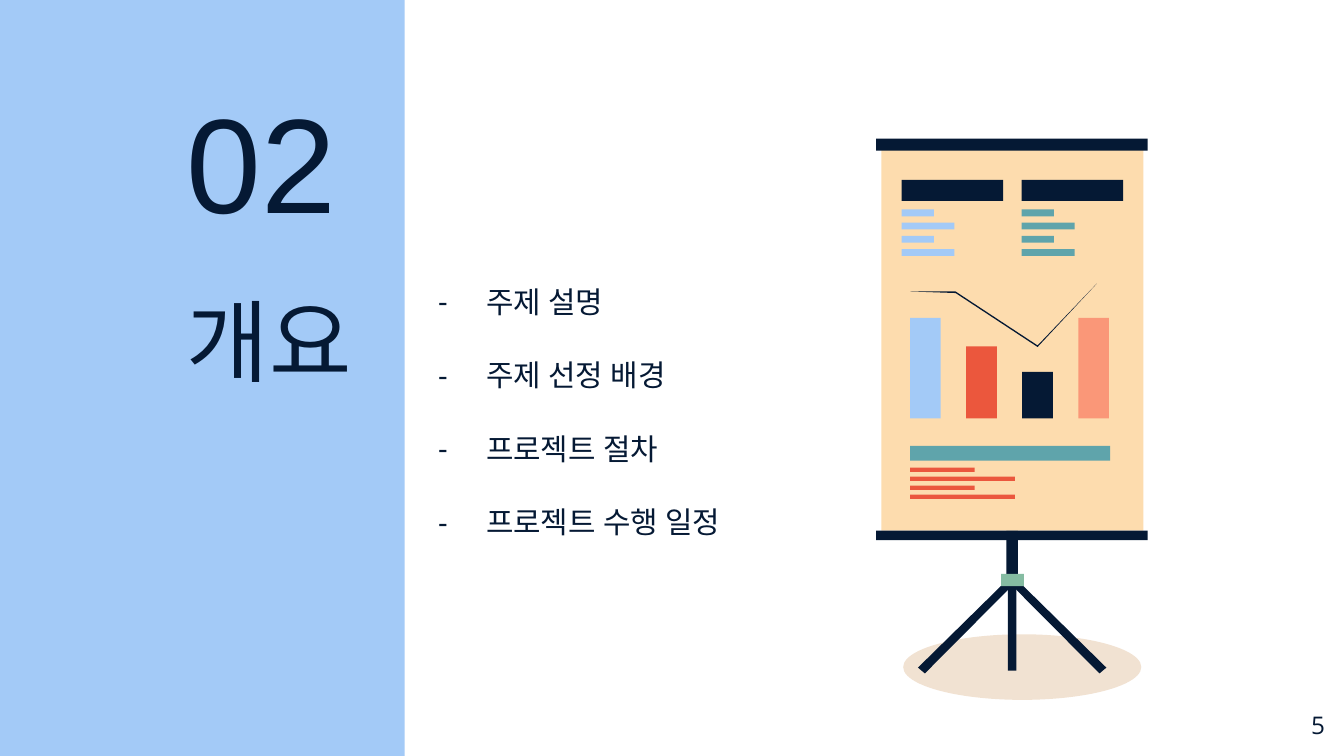
import lxml.etree
import pptx
import pptx.dml.color
import pptx.enum.shapes
import pptx.enum.text
import pptx.oxml.ns
import pptx.util

Cm = pptx.util.Cm
qn = pptx.oxml.ns.qn
ANCHOR = pptx.enum.text.MSO_ANCHOR
ALIGN = pptx.enum.text.PP_ALIGN
SHAPE = pptx.enum.shapes.MSO_SHAPE

COLORS = {
    "navy": "051934", "blue": "A3CAF7", "sand": "FDDCAE", "teal": "5FA4AB",
    "red": "EB573D", "salmon": "FA9778", "green": "85BCA2", "brown": "B45F06",
}

deck = pptx.Presentation()
deck.slide_width, deck.slide_height = Cm(25.4), Cm(14.29)
page = deck.slides.add_slide(deck.slide_layouts[6])


def add_text(text, left, top, width, height, size, font="Open Sans",
             anchor=ANCHOR.TOP, align=ALIGN.LEFT, spacing=None, dash=False):
    box = page.shapes.add_textbox(Cm(left), Cm(top), Cm(width), Cm(height))
    frame = box.text_frame
    frame.word_wrap = True
    frame.vertical_anchor = anchor
    frame.margin_left = frame.margin_right = Cm(0.25)
    frame.margin_top = frame.margin_bottom = Cm(0.25)
    para = frame.paragraphs[0]
    para.alignment = align
    if spacing:
        para.line_spacing = spacing
    span = para.add_run()
    span.text = text
    span.font.size = pptx.util.Pt(size)
    span.font.name = font
    span.font.color.rgb = pptx.dml.color.RGBColor.from_string(COLORS["navy"])
    # Korean glyphs take the East Asian typeface
    lxml.etree.SubElement(span.font._element, qn("a:ea"), typeface=font)
    if dash:
        properties = para._p.get_or_add_pPr()
        properties.set("marL", str(Cm(1.27)))
        properties.set("indent", str(Cm(-0.91)))
        bullet_color = lxml.etree.SubElement(properties, qn("a:buClr"))
        lxml.etree.SubElement(bullet_color, qn("a:srgbClr"), val=COLORS["navy"])
        lxml.etree.SubElement(properties, qn("a:buFont"), typeface=font)
        lxml.etree.SubElement(properties, qn("a:buChar"), char="-")


def add_filled(color, *place, preset=SHAPE.RECTANGLE, points=None):
    """Fill a preset at left, top, width, height, or an outline of points."""
    if points:
        corners = [(Cm(x), Cm(y)) for x, y in points]
        builder = page.shapes.build_freeform(*corners[0])
        builder.add_line_segments(corners[1:], close=True)
        shape = builder.convert_to_shape()
    else:
        shape = page.shapes.add_shape(preset, *map(Cm, place))
    shape.shadow.inherit = False
    shape.fill.solid()
    shape.fill.fore_color.rgb = pptx.dml.color.RGBColor.from_string(COLORS[color])
    shape.line.fill.background()
    return shape


# Side panel with section number and title
add_filled("blue", -0.05, -0.05, 7.7, 14.35)
add_text("개요", 3.28, 5.44, 10.77, 2.34, 48, font="Arial",
         anchor=ANCHOR.MIDDLE, spacing=0.8)
add_text("02", 3.28, 2.62, 6.99, 2.18, 72, font="Arial", anchor=ANCHOR.BOTTOM)

# Agenda
topics = ["주제 설명", "주제 선정 배경", "프로젝트 절차", "프로젝트 수행 일정"]
for index, topic in enumerate(topics):
    add_text(topic, 7.67, 5.11 + 1.39 * index, 8.84, 1.5, 16, dash=True)

# Floor shade under the easel
shade = add_filled("brown", 17.07, 11.99, 4.5, 1.24, preset=SHAPE.OVAL)
shade_color = shade._element.spPr.find(qn("a:solidFill"))[0]
lxml.etree.SubElement(shade_color, qn("a:alpha"), val="18000")

# Tripod: the right leg mirrors the left one
center = 19.13
left_leg = [(19.08, 10.92), (17.35, 12.62), (17.48, 12.73), (19.18, 11.02)]
right_leg = [(2 * center - x, y) for x, y in left_leg]
for leg in (left_leg, right_leg):
    add_filled("navy", points=leg)
add_filled("navy", center - 0.08, 10.72, 0.16, 1.96)
add_filled("navy", center - 0.11, 10.03, 0.22, 1.04)
add_filled("green", center - 0.21, 10.85, 0.43, 0.23)

# Board with its two rails
add_filled("sand", 16.66, 2.84, 4.95, 7.19)
add_filled("navy", 16.56, 10.03, 5.13, 0.18)
add_filled("navy", 16.56, 2.62, 5.13, 0.23)

# Two columns of header and lines
for left, color in ((17.04, "blue"), (19.31, "teal")):
    add_filled("navy", left, 3.4, 1.92, 0.4)
    for row, width in enumerate([0.61, 1.0] * 2):
        add_filled(color, left, 3.96 + 0.25 * row, width, 0.13)

# Footer strip and lines
add_filled("teal", 17.2, 8.43, 3.78, 0.28)
for row, width in enumerate([1.22, 1.98] * 2):
    add_filled("red", 17.2, 8.84 + 0.17 * row, width, 0.08)

# Drawn bars on a common baseline
baseline = 7.91
bars = [("blue", 1.9), ("red", 1.36), ("navy", 0.88), ("salmon", 1.9)]
for index, (color, height) in enumerate(bars):
    add_filled(color, 17.2 + 1.06 * index, baseline - height, 0.58, height)

# Trend stroke, tapering to both ends
add_filled("navy", points=[(20.73, 5.36), (19.61, 6.53), (18.06, 5.51),
                           (17.2, 5.51), (18.06, 5.54), (19.61, 6.56)])

# Page number
add_text("5", 23.77, 13.18, 1.52, 1.09, 13, align=ALIGN.RIGHT)

deck.save("out.pptx")
